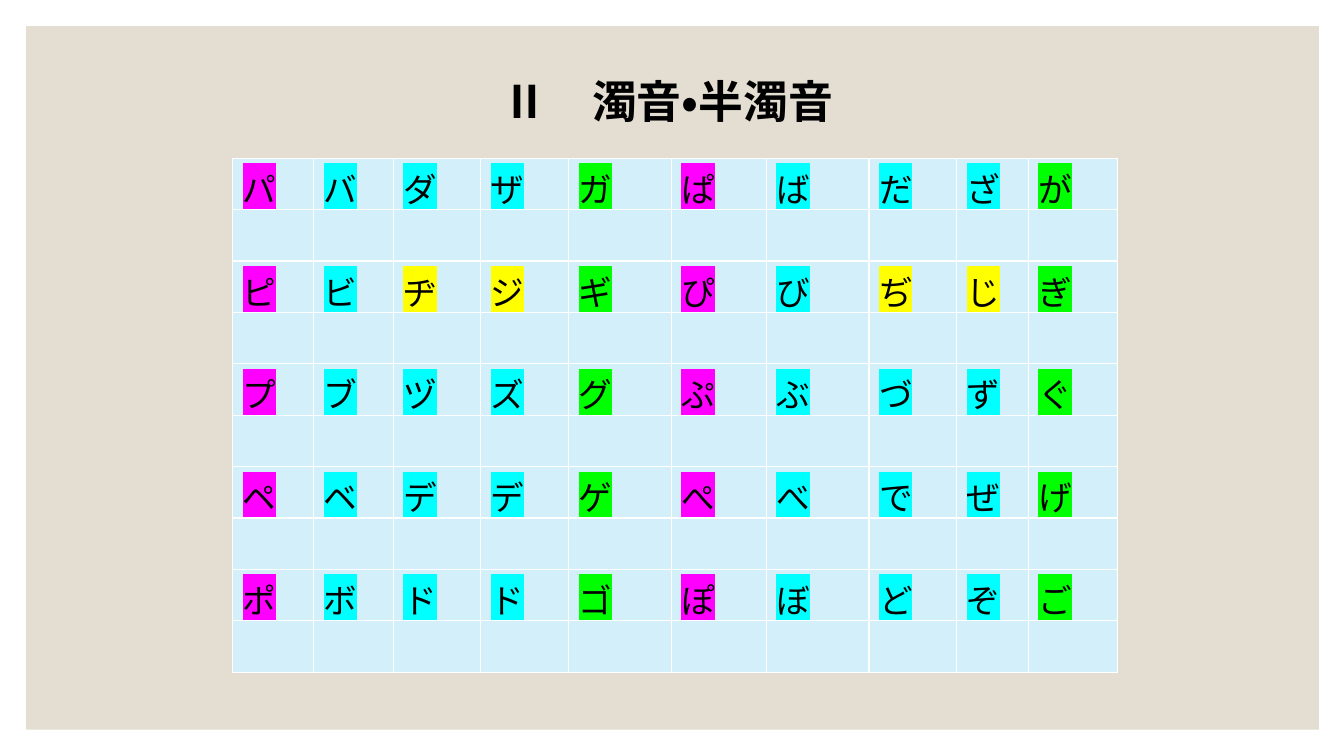
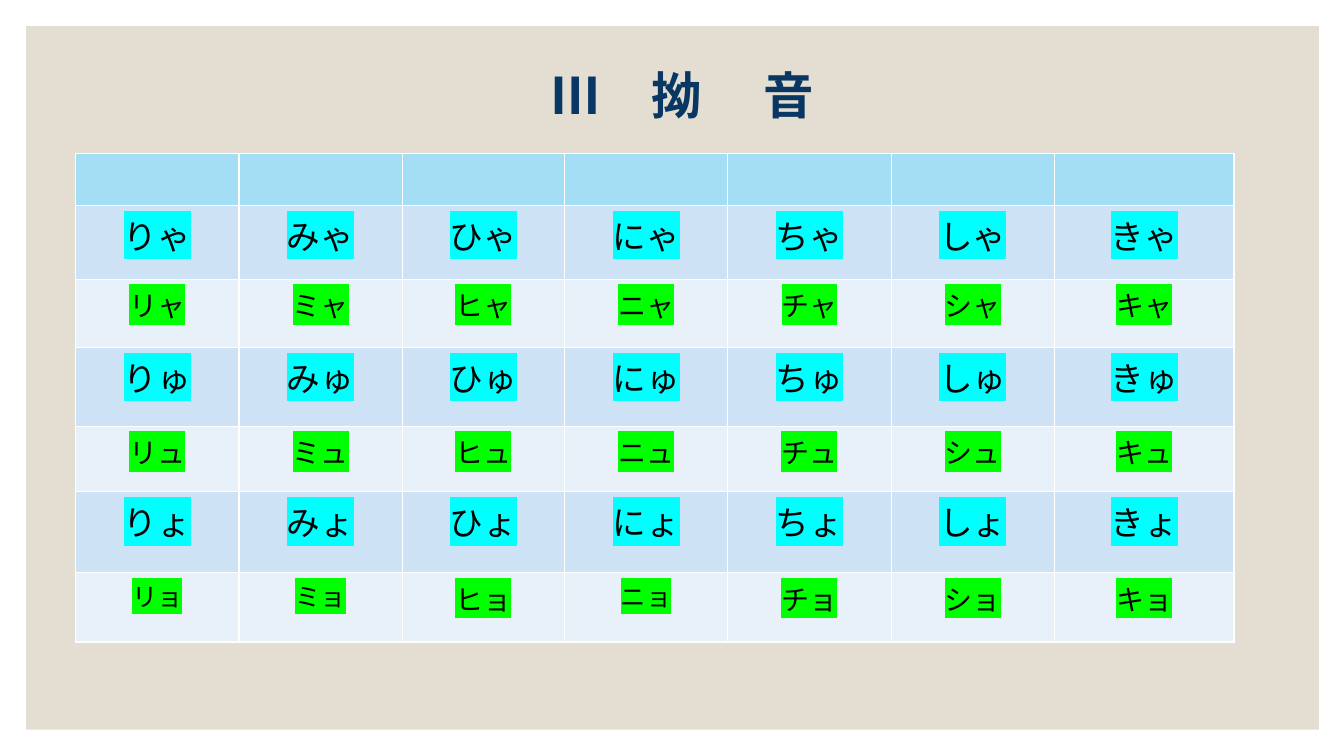
from lxml import etree
from pptx import Presentation
from pptx.dml.color import RGBColor
from pptx.enum import lang, shapes, text
from pptx.oxml.ns import qn
from pptx.util import Inches, Pt

TITLE_FONT, KANA_FONT = "DejaVu Sans", "League Spartan"
BLACK, NAVY, SAND = "000000", "083763", "E3DED1"
PINK, CYAN, GREEN, YELLOW = "FF00FF", "00FFFF", "00FF00", "FFFF00"
PALE_BLUE, HEADER_BLUE, BAND_DARK, BAND_LIGHT = "D2EFFA", "A4DEF4", "CDE3F5", "E8F1FA"


def rgb(value):
    return RGBColor.from_string(value)


def add_run(p, words, font, size, color, bold=False, highlight=None):
    r = p.add_run()
    r.text = words
    r.font.name, r.font.size, r.font.bold = font, Pt(size), bold
    r.font.color.rgb = rgb(color)
    r.font.language_id = lang.MSO_LANGUAGE_ID.JAPANESE
    if highlight:
        mark = etree.Element(qn("a:highlight"))
        etree.SubElement(mark, qn("a:srgbClr"), val=highlight)
        r.font._element.find(qn("a:solidFill")).addnext(mark)


# Each table row is (fill, [(kana, size, highlight), ...]).
column_marks = [PINK, CYAN, CYAN, CYAN, GREEN] * 2
voiced_rows = []
for kana_row in ["パバダザガぱばだざが", "ピビヂジギぴびぢじぎ", "プブヅズグぷぶづずぐ",
                 "ペベデデゲぺべでぜげ", "ポボドドゴぽぼどぞご"]:
    voiced_rows.append((PALE_BLUE, [(kana, 24, YELLOW if kana in "ヂジぢじ" else mark)
                                    for kana, mark in zip(kana_row, column_marks)]))
    voiced_rows.append((PALE_BLUE, []))

contracted_rows = [(HEADER_BLUE, [])]
for small_hira, small_kata in zip("ゃゅょ", "ャュョ"):
    contracted_rows.append((BAND_DARK, [(k + small_hira, 24, CYAN) for k in "りみひにちしき"]))
    contracted_rows.append((BAND_LIGHT, [
        (k + small_kata, 18 if k + small_kata in ("リョ", "ミョ", "ニョ") else 20, GREEN)
        for k in "リミヒニチシキ"]))

LEFT, CENTER = text.PP_ALIGN.LEFT, text.PP_ALIGN.CENTER
pages = [
    dict(title="Ⅱ　濁音・半濁音", title_at=(2.65, 0.68, 7.95, 0.64), size=32, color=BLACK,
         table_at=(2.31, 1.57), align=LEFT, header=False, rows=voiced_rows,
         widths=[0.8, 0.79, 0.87, 0.87, 1.02, 0.94, 1.02, 0.87, 0.71, 0.89],
         heights=[0.51] * 10),
    dict(title="Ⅲ　拗 　音", title_at=(3.18, 0.59, 7.18, 0.71), size=36, color=NAVY,
         table_at=(0.75, 1.52), align=CENTER, header=True, rows=contracted_rows,
         widths=[1.62] * 2 + [1.61] + [1.62] * 3 + [1.78],
         heights=[0.52, 0.73, 0.68, 0.78, 0.65, 0.8, 0.69]),
]

prs = Presentation()
prs.slide_width, prs.slide_height = Inches(13.33), Inches(7.5)
layout = prs.slide_layouts[5]

for number, page in enumerate(pages):
    s = prs.slides.add_slide(layout)

    if number == 0:
        # The sand panel moves to the layout, so every slide shows it.
        panel = s.shapes.add_shape(shapes.MSO_SHAPE.RECTANGLE, Inches(0.26), Inches(0.26),
                                   Inches(12.82), Inches(6.98))
        panel.shadow.inherit = False
        panel.fill.solid()
        panel.fill.fore_color.rgb = rgb(SAND)
        panel.line.fill.background()
        layout.shapes._spTree.insert(2, panel._element)

    title = s.shapes.title
    title.left, title.top, title.width, title.height = map(Inches, page["title_at"])
    tf = title.text_frame
    tf.word_wrap = True
    tf.auto_size = text.MSO_AUTO_SIZE.SHAPE_TO_FIT_TEXT
    tf.vertical_anchor = text.MSO_ANCHOR.TOP
    p = tf.paragraphs[0]
    p.alignment = CENTER
    add_run(p, page["title"], TITLE_FONT, page["size"], page["color"], bold=True)

    widths, heights = page["widths"], page["heights"]
    left, top = map(Inches, page["table_at"])
    table = s.shapes.add_table(len(heights), len(widths), left, top,
                               Inches(sum(widths)), Inches(sum(heights))).table
    table.first_row, table.horz_banding = page["header"], False
    for column, width in zip(table.columns, widths):
        column.width = Inches(width)
    for row, height, (fill, kana_cells) in zip(table.rows, heights, page["rows"]):
        row.height = Inches(height)
        for cell in row.cells:
            cell.fill.solid()
            cell.fill.fore_color.rgb = rgb(fill)
        for cell, (kana, size, mark) in zip(row.cells, kana_cells):
            p = cell.text_frame.paragraphs[0]
            p.alignment = page["align"]
            add_run(p, kana, KANA_FONT, size, BLACK, highlight=mark)

prs.save("out.pptx")
